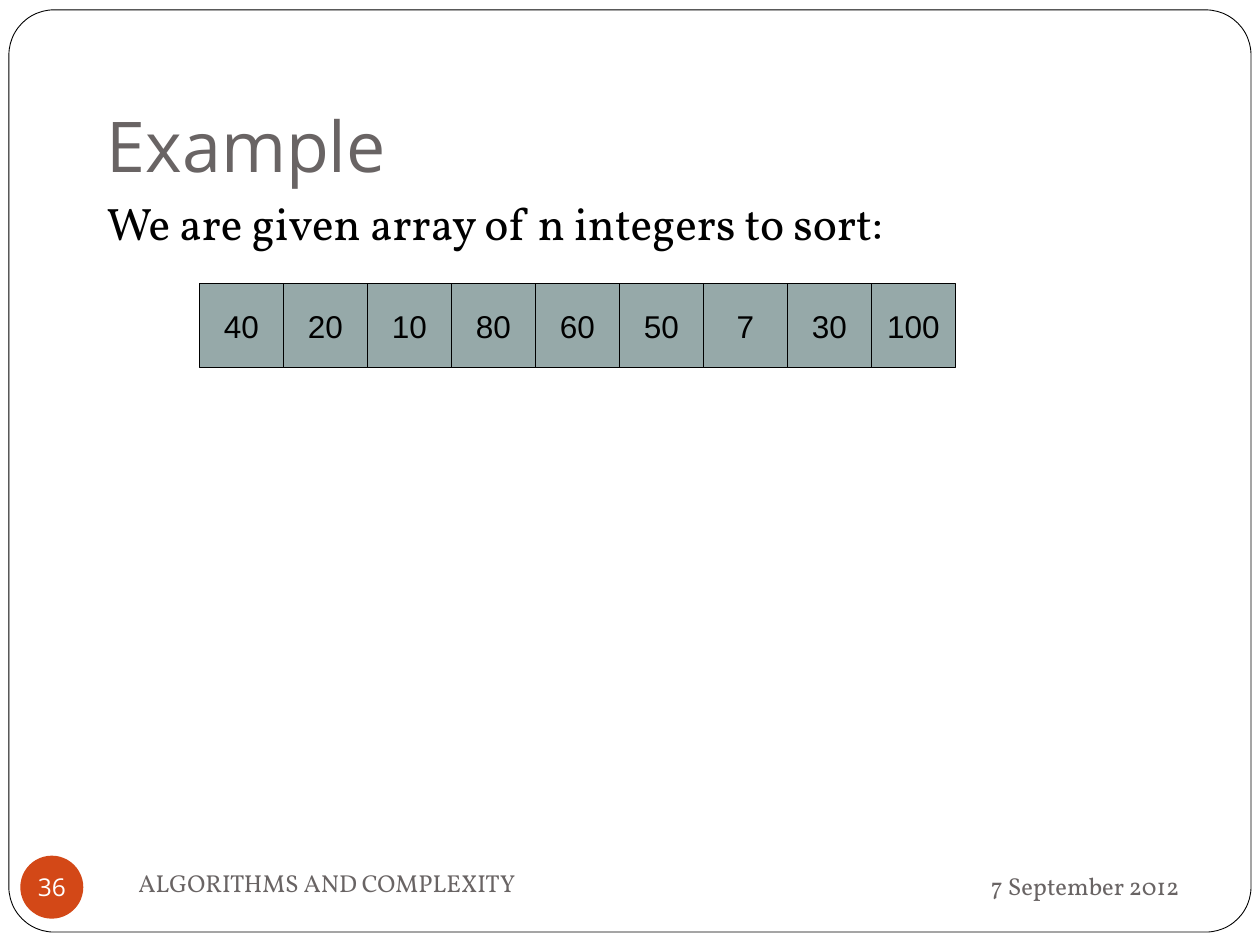
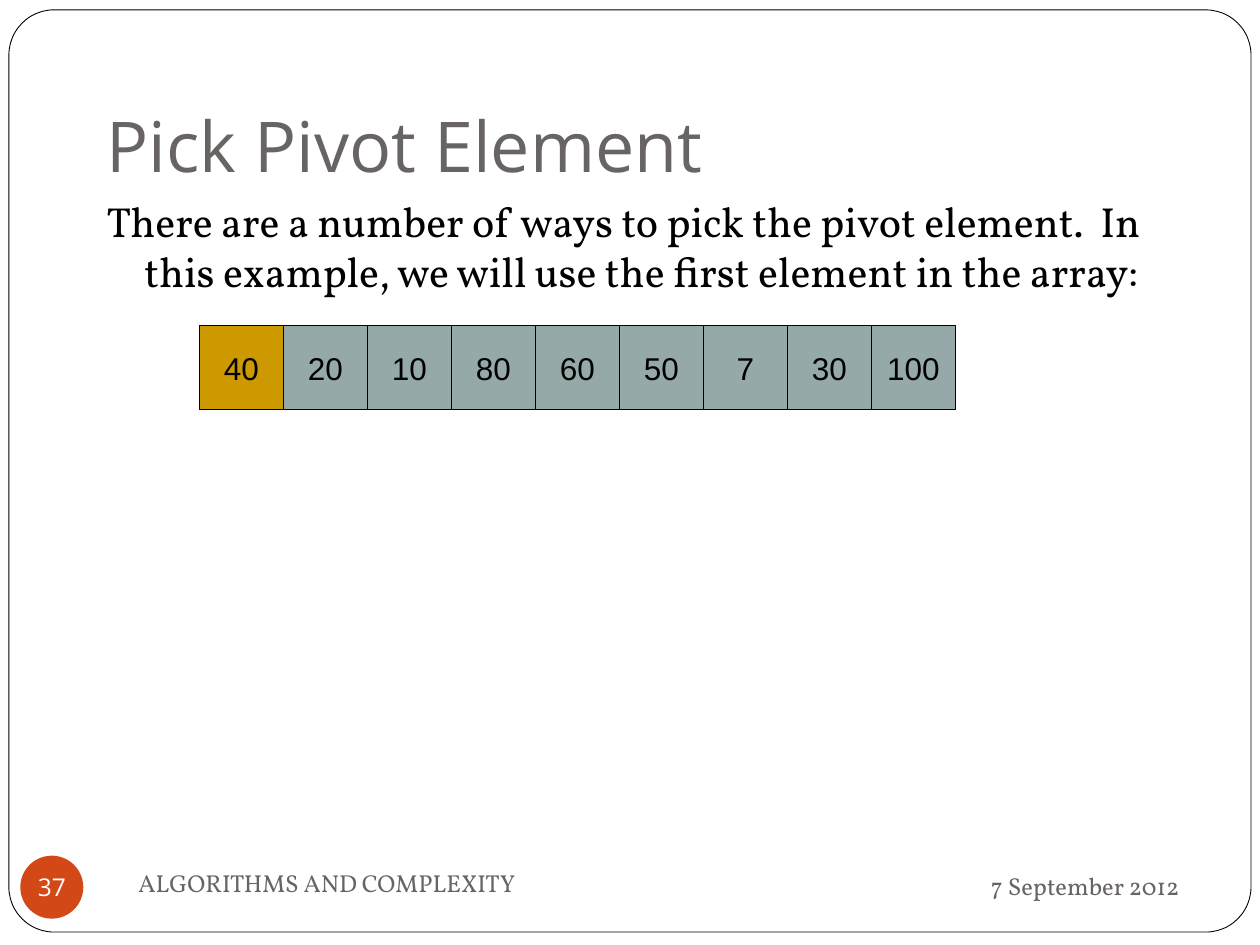
from pptx import Presentation
from pptx.util import Cm, Pt
from pptx.dml.color import RGBColor as RGB
from pptx.enum.shapes import MSO_SHAPE as Kind
from pptx.enum.text import PP_ALIGN as Align, MSO_ANCHOR as Anchor, MSO_AUTO_SIZE as Fit

# Content
DATE = "7 September 2012"
COURSE = "ALGORITHMS AND COMPLEXITY"
NUMS = [40, 20, 10, 80, 60, 50, 7, 30, 100]
SLIDES = [
    dict(page=36, title="Example", size=26, top=5.72, pivot=None,
         body="We are given array of n integers to sort:"),
    dict(page=37, title="Pick Pivot Element", size=24, top=6.56, pivot=0,
         body="There are a number of ways to pick the pivot element.  In this "
              "example, we will use the first element in the array:"),
]

# Shared style
HEX = dict(page="FFFFFF", ink="000000", grey="696464",
           cell="96A9A9", pivot="CC9900", badge="D34817")
HEAD, BODY, DATA = "Open Sans", "Vollkorn", "Arial"
LEFT, SIDE = 4.02, 1.693  # array start and cell side, cm
PAD = (0.25, 0.13, 0.25, 0.13)


def color(name):
    return RGB.from_string(HEX[name])


def write(shape, text, font, size, ink, align=Align.LEFT,
          anchor=Anchor.MIDDLE, wrap=True, pad=PAD):
    frame = shape.text_frame
    frame.auto_size = Fit.NONE
    frame.word_wrap = wrap
    frame.vertical_anchor = anchor
    (frame.margin_left, frame.margin_top,
     frame.margin_right, frame.margin_bottom) = map(Cm, pad)
    para = frame.paragraphs[0]
    para.alignment = align
    run = para.add_run()
    run.text = text
    run.font.name, run.font.size = font, Pt(size)
    run.font.color.rgb = color(ink)
    return para


def draw(slide, kind, box, fill, width=None):
    shape = slide.shapes.add_shape(kind, *map(Cm, box))
    shape.shadow.inherit = False
    shape.fill.solid()
    shape.fill.fore_color.rgb = color(fill)
    if width:
        shape.line.color.rgb = color("ink")
        shape.line.width = Pt(width)
    else:
        shape.line.fill.background()
    return shape


def label(slide, box, *args, **opts):
    return write(slide.shapes.add_textbox(*map(Cm, box)), *args, **opts)


def border(slide):
    shape = draw(slide, Kind.ROUNDED_RECTANGLE, (0.18, 0.2, 25.04, 18.59), "page", 0.5)
    shape.adjustments[0] = 0.049
    slide.shapes.title.element.addprevious(shape.element)  # behind the title


def heading(slide, text):
    title = slide.shapes.title
    title.left, title.top, title.width, title.height = map(Cm, (1.9, 0.85, 21.59, 3.17))
    write(title, text, HEAD, 40, "grey", anchor=Anchor.BOTTOM,
          pad=(0.25, 0.13, 0.25, 0.25))


def prose(slide, text, size):
    para = label(slide, (1.9, 3.81, 21.59, 11.43), text, BODY, size, "ink",
                 anchor=Anchor.TOP)
    para.space_before = Pt(5.8)
    props = para._p.get_or_add_pPr()  # hanging indent
    props.set("marL", str(Cm(0.76)))
    props.set("indent", str(-Cm(0.76)))


def array(slide, top, pivot):
    for i, num in enumerate(NUMS):
        cell = draw(slide, Kind.RECTANGLE, (LEFT + i * SIDE, top, SIDE, SIDE),
                    "pivot" if i == pivot else "cell", 0.75)
        write(cell, str(num), DATA, 18, "ink", Align.CENTER, wrap=False)


def footer(slide, page):
    label(slide, (17.15, 17.2, 6.88, 1.32), DATE, BODY, 14, "grey", Align.RIGHT)
    badge = draw(slide, Kind.OVAL, (0.41, 17.25, 1.27, 1.27), "badge")
    write(badge, str(page), HEAD, 14, "page", Align.CENTER, wrap=False, pad=(0,) * 4)
    label(slide, (2.54, 17.15, 11, 1.27), COURSE, BODY, 14, "grey")


# Build
deck = Presentation()
deck.slide_width, deck.slide_height = Cm(25.4), Cm(19.05)
for item in SLIDES:
    slide = deck.slides.add_slide(deck.slide_layouts[5])
    border(slide)
    heading(slide, item["title"])
    prose(slide, item["body"], item["size"])
    array(slide, item["top"], item["pivot"])
    footer(slide, item["page"])
deck.save("out.pptx")
